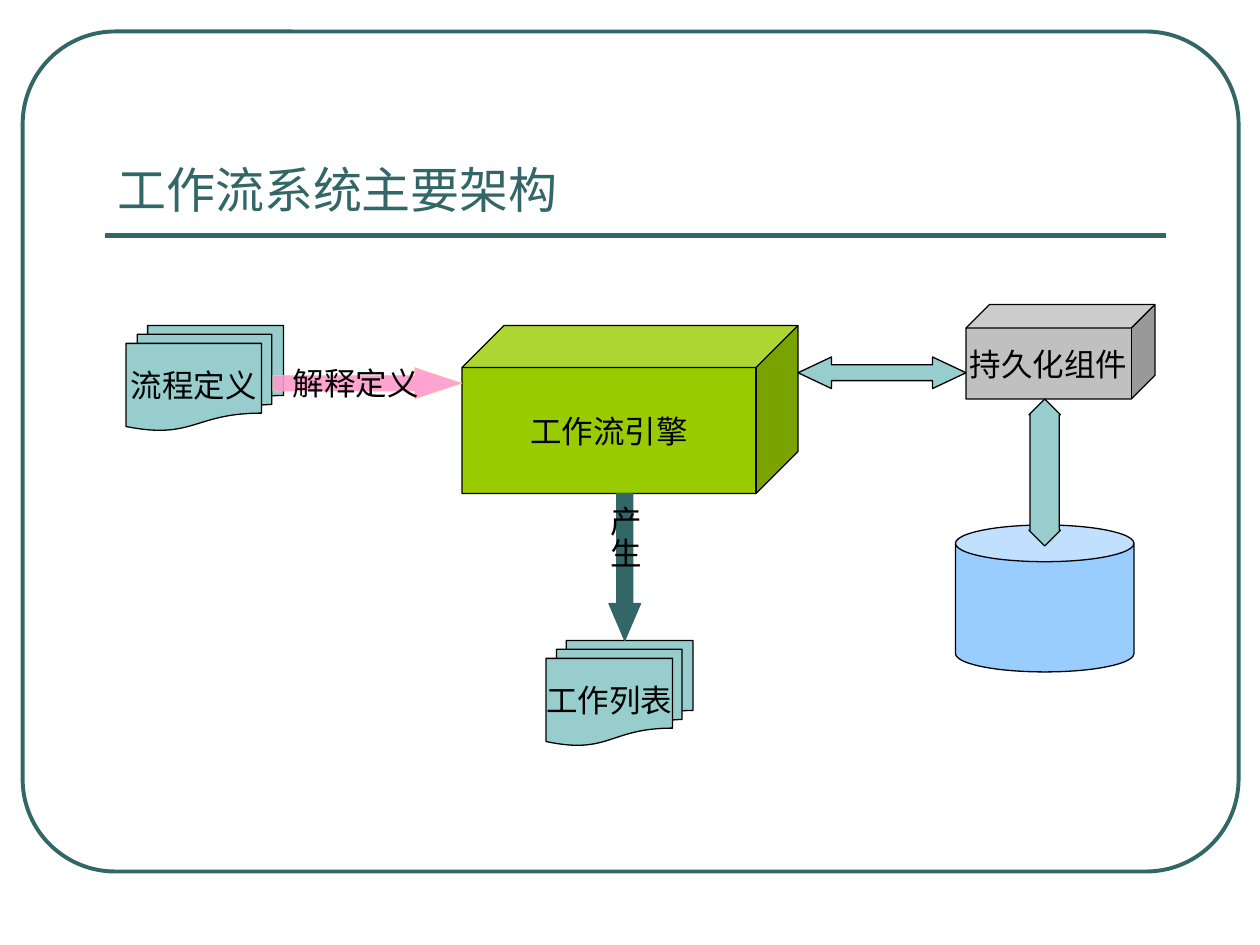
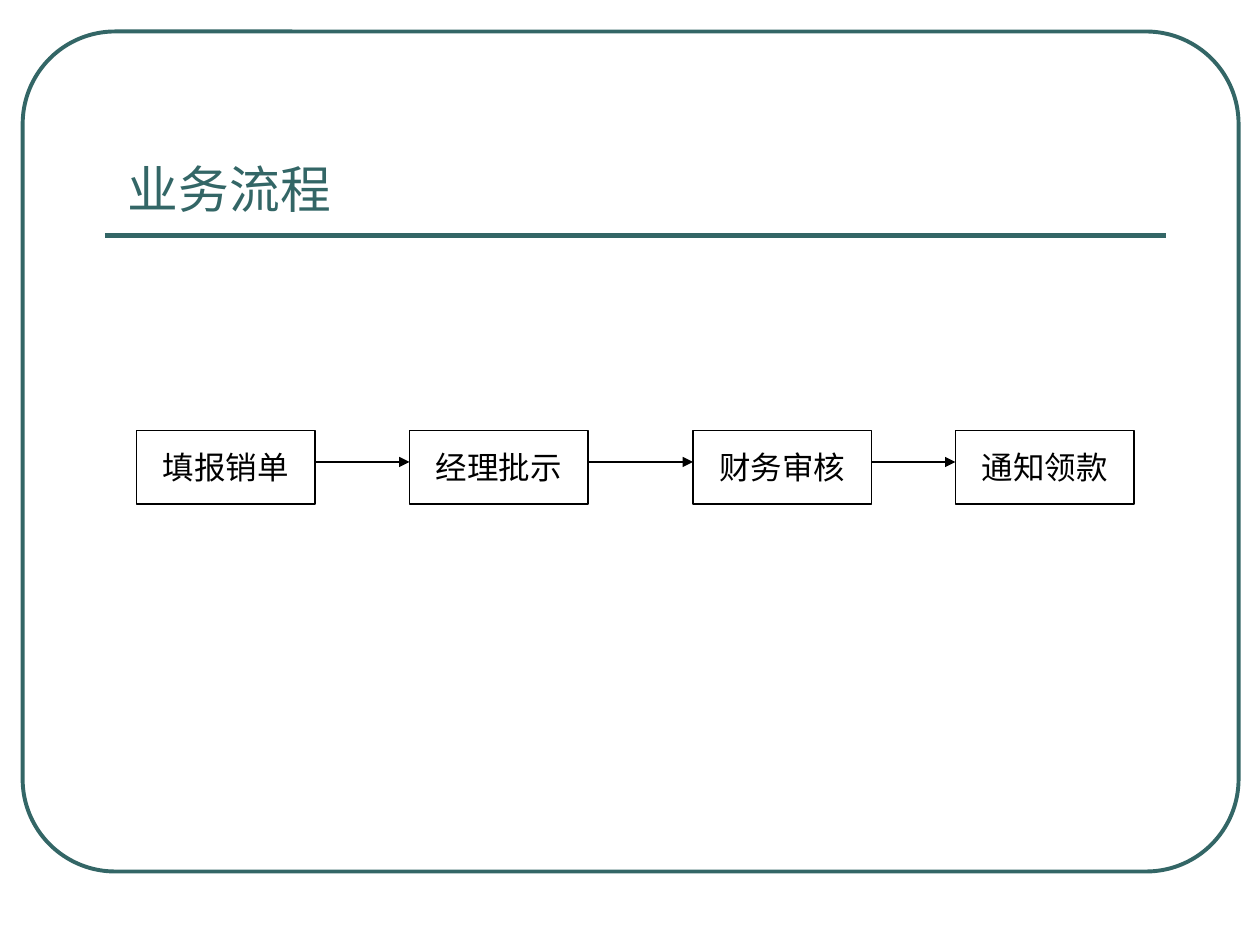
from itertools import pairwise

from pptx import Presentation
from pptx.dml.color import RGBColor
from pptx.enum.shapes import MSO_CONNECTOR, MSO_SHAPE
from pptx.enum.text import MSO_ANCHOR, PP_ALIGN
from pptx.oxml.ns import qn
from pptx.util import Inches, Pt
from lxml.etree import SubElement

# The grid has twelve cells to the inch: 120 columns by 90 rows
CELLS_PER_INCH = 12
COLUMNS, ROWS = 120, 90

TEAL, AQUA, BLACK, WHITE = "336666", "97CDCC", "000000", "FFFFFF"
LIME, GRAY, SKY, PINK, PEACH = "99CC00", "C0C0C0", "99CCFF", "FF99CC", "FFCC99"
TITLE_FONT, BODY_FONT = "Montserrat", "Arial"


def cells(count):
    return Inches(count / CELLS_PER_INCH)


def color(value):
    return RGBColor.from_string(value)


def write(frame, words, size, font, ink, align, anchor):
    frame.vertical_anchor = anchor
    para = frame.paragraphs[0]
    para.alignment = align
    span = para.add_run()
    span.text = words
    span.font.size = Pt(size)
    span.font.name = font
    span.font.color.rgb = color(ink)


def add_part(slide, kind, box, fill=None, words="", line=BLACK, weight=0.75, adjust=()):
    """Place a preset shape on a box given as column, row, width and height."""
    part = slide.shapes.add_shape(kind, *map(cells, box))
    part.shadow.inherit = False
    for index, value in enumerate(adjust):
        part.adjustments[index] = value
    if fill:
        part.fill.solid()
        part.fill.fore_color.rgb = color(fill)
    else:
        part.fill.background()
    part.line.color.rgb = color(line)
    part.line.width = Pt(weight)
    if words:
        part.text_frame.word_wrap = False
        write(part.text_frame, words, 18, BODY_FONT, BLACK, PP_ALIGN.CENTER, MSO_ANCHOR.MIDDLE)
    return part


def add_line(slide, start, end, ink, weight, arrow=False):
    line = slide.shapes.add_connector(MSO_CONNECTOR.STRAIGHT, *map(cells, start + end))
    line.line.color.rgb = color(ink)
    line.line.width = Pt(weight)
    if arrow:
        SubElement(line.line._get_or_add_ln(), qn("a:tailEnd"), type="triangle")
    SubElement(line._element.spPr, qn("a:effectLst"))


def add_page(deck, title, title_box, title_size):
    """Start a slide with the rounded frame, the rule and the title."""
    slide = deck.slides.add_slide(deck.slide_layouts[6])
    add_part(slide, MSO_SHAPE.ROUNDED_RECTANGLE, (2.16, 3, 115.8, 80),
             line=TEAL, weight=2.25, adjust=[0.11])
    add_line(slide, (10, 22.4), (111, 22.4), TEAL, 3)
    frame = slide.shapes.add_textbox(*map(cells, title_box)).text_frame
    frame.word_wrap = True
    write(frame, title, title_size, TITLE_FONT, TEAL, PP_ALIGN.LEFT, MSO_ANCHOR.BOTTOM)
    return slide


def draw_engine(slide, left, top):
    """Definitions feed the engine, which produces the work list."""
    add_part(slide, MSO_SHAPE.CUBE, (left + 32, top, 32, 16), LIME, "工作流引擎", adjust=[0.25])
    add_part(slide, MSO_SHAPE.FLOWCHART_MULTIDOCUMENT, (left + 40, top + 30, 14, 10), AQUA, "工作列表")
    add_part(slide, MSO_SHAPE.FLOWCHART_MULTIDOCUMENT, (left, top, 15, 10), AQUA, "流程定义")

    # Arrow from the definitions, slightly transparent
    reading = add_part(slide, MSO_SHAPE.RIGHT_ARROW, (left + 14, top + 4, 18, 3), PINK, "解释定义",
                       line=PEACH, weight=0.25, adjust=[0.5, 1.5])
    tint = reading._element.spPr.find(qn("a:solidFill"))[0]
    SubElement(tint, qn("a:alpha"), val="90000")

    # Arrow to the work list, with upright stacked text
    output = add_part(slide, MSO_SHAPE.DOWN_ARROW, (left + 46, top + 16, 3, 14), TEAL, "产生",
                      line=TEAL, adjust=[0.5, 1.17])
    frame = output.text_frame
    frame.margin_left = frame.margin_right = Inches(0.05)
    frame.margin_top = frame.margin_bottom = Inches(0.1)
    frame._txBody.bodyPr.set("vert", "eaVert")


def draw_storage(slide, left, top):
    """The persistence component sits between the engine and the database."""
    add_part(slide, MSO_SHAPE.CAN, (left + 15, top + 21, 17, 14), SKY, adjust=[0.25])
    add_part(slide, MSO_SHAPE.CUBE, (left + 16, top, 18, 9), GRAY, "持久化组件", adjust=[0.25])
    add_part(slide, MSO_SHAPE.LEFT_RIGHT_ARROW, (left, top + 5, 16, 3), AQUA, adjust=[0.5, 1.06])
    add_part(slide, MSO_SHAPE.UP_DOWN_ARROW, (left + 22, top + 9, 3, 14), AQUA, adjust=[0.5, 0.93])


def draw_steps(slide, top, steps, width=17, height=7):
    """Put the steps in a row and link each to the next."""
    for left, words in steps:
        add_part(slide, MSO_SHAPE.FLOWCHART_PROCESS, (left, top, width, height), WHITE, words)
    # Arrows run just above the middle of the boxes
    for (left, _), (following, _) in pairwise(steps):
        add_line(slide, (left + width, top + 3), (following, top + 3), BLACK, 0.75, arrow=True)


def main():
    deck = Presentation()
    deck.slide_width, deck.slide_height = cells(COLUMNS), cells(ROWS)

    architecture = add_page(deck, "工作流系统主要架构", (10, 13, 101, 8.4), 28)
    draw_engine(architecture, 12, 31)
    draw_storage(architecture, 76, 29)

    process = add_page(deck, "业务流程", (11, 15, 80, 6.4), 29)
    draw_steps(process, 41, [(13, "填报销单"), (39, "经理批示"), (66, "财务审核"), (91, "通知领款")])

    deck.save("out.pptx")


if __name__ == "__main__":
    main()
